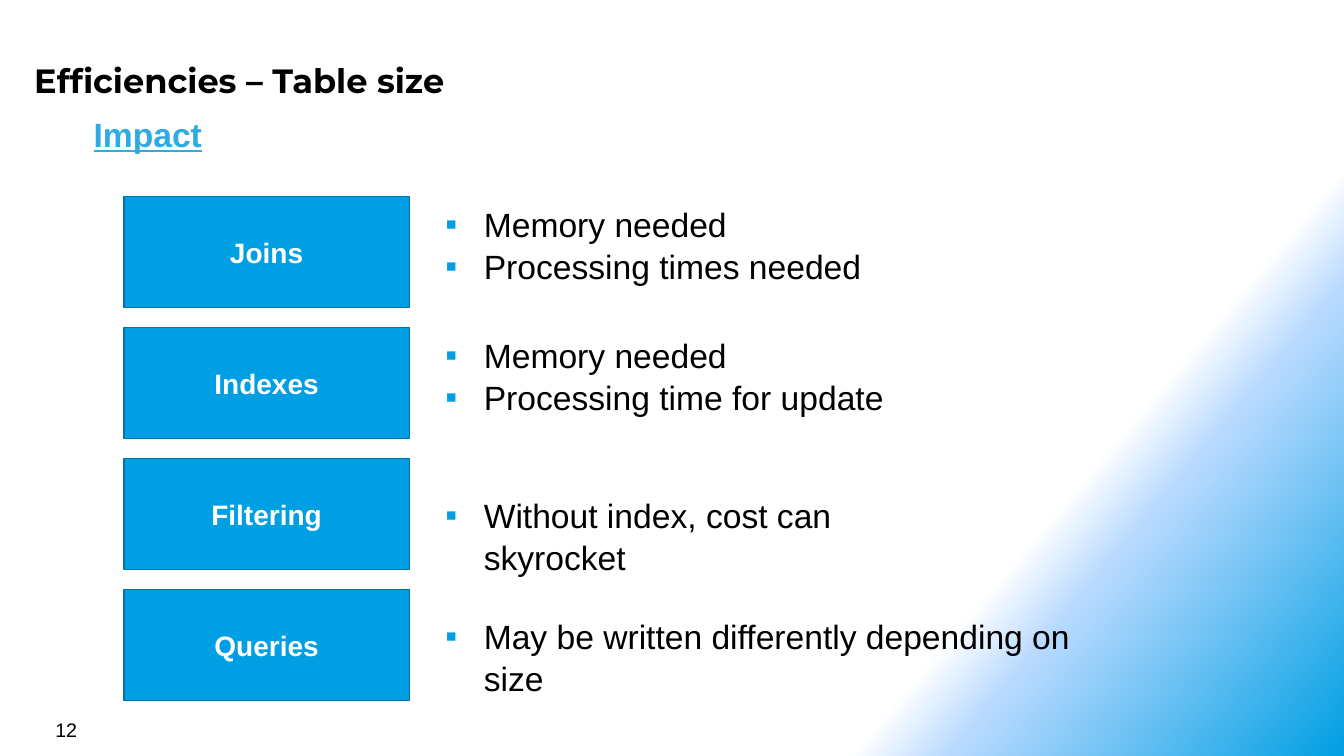
from dataclasses import dataclass

from lxml import etree
from pptx import Presentation
from pptx import util as u
from pptx.dml.color import RGBColor
from pptx.enum import shapes, text
from pptx.oxml import ns


@dataclass(frozen=True)
class Theme:
    black: str = "000000"
    white: str = "FFFFFF"
    blue: str = "009FE3"
    edge: str = "0076A8"
    heading: str = "2EABE2"
    pale: str = "B9DAFF"
    title_font: str = "Montserrat"
    body_font: str = "Arial"
    large: int = 24
    label: int = 20
    small: int = 14
    spacing: float = 1.05


THEME = Theme()

# Label, bullets, drop of the bullets below the label's top, bullet box width
IMPACTS = [
    ("Joins", ["Memory needed", "Processing times needed"], 0, 5.15),
    ("Indexes", ["Memory needed", "Processing time for update"], 0, 5.09),
    ("Filtering", ["Without index, cost can skyrocket"], 0.29, 5.59),
    ("Queries", ["May be written differently depending on size"], 0.19, 7.24),
]


def inches(*lengths):
    return [u.Inches(length) for length in lengths]


def child(parent, tag, **attributes):
    return etree.SubElement(parent, ns.qn(tag), attributes)


def style(para, size, color, name=THEME.body_font, bold=False, underline=False):
    for span in para.runs:
        font = span.font
        font.name, font.size = name, u.Pt(size)
        font.bold, font.underline = bold, underline
        font.color.rgb = RGBColor.from_string(color)


def add_text(page, area, lines, inset=None):
    """Add a wrapping text box and return its paragraphs."""
    frame = page.shapes.add_textbox(*inches(*area)).text_frame
    frame.word_wrap = True
    if inset is not None:
        frame.margin_left = frame.margin_right = u.Inches(inset)
        frame.margin_top = frame.margin_bottom = u.Inches(inset)
    frame.text = "\n".join(lines)
    return frame.paragraphs


def paint_background(page):
    fill = page.background.fill
    fill.gradient()
    fill.gradient_angle = 320
    stops = page.background._cSld.find(".//" + ns.qn("a:gsLst"))
    for stop in list(stops):
        stops.remove(stop)
    for position, color, alpha in (
        (75, THEME.white, 100), (80, THEME.pale, 50), (100, THEME.blue, 100)
    ):
        stop = child(stops, "a:gs", pos=str(position * 1000))
        tint = child(stop, "a:srgbClr", val=color)
        if alpha < 100:
            child(tint, "a:alpha", val=str(alpha * 1000))


def add_heading(page, left, top, width):
    # Title, with the section heading indented below it
    title = add_text(page, (left, top, width, 0.55),
                     ["Efficiencies – Table size"], inset=0.08)[0]
    style(title, THEME.large, THEME.black, THEME.title_font, bold=True)
    indent = 0.57
    section = add_text(page, (left + indent, top + 0.55, width - indent, 0.5),
                       ["Impact"])[0]
    section.line_spacing = THEME.spacing
    style(section, THEME.large, THEME.heading, bold=True, underline=True)


def add_label(page, area, label):
    box = page.shapes.add_shape(shapes.MSO_SHAPE.RECTANGLE, *inches(*area))
    box.shadow.inherit = False
    box.fill.solid()
    box.fill.fore_color.rgb = RGBColor.from_string(THEME.blue)
    box.line.color.rgb = RGBColor.from_string(THEME.edge)
    box.line.width = u.Pt(1)
    frame = box.text_frame
    frame.vertical_anchor = text.MSO_ANCHOR.MIDDLE
    frame.text = label
    para = frame.paragraphs[0]
    para.alignment = text.PP_ALIGN.CENTER
    style(para, THEME.label, THEME.white, bold=True)


def add_bullets(page, area, lines):
    for para in add_text(page, area, lines):
        para.level = 1
        properties = para._p.get_or_add_pPr()
        properties.set("marL", str(u.Inches(0.88)))
        properties.set("indent", str(u.Inches(-0.38)))
        child(child(properties, "a:buClr"), "a:srgbClr", val=THEME.blue)
        child(properties, "a:buFont", typeface=THEME.body_font)
        child(properties, "a:buChar", char="▪")
        para.line_spacing = THEME.spacing
        style(para, THEME.large, THEME.black)


def add_impacts(page, left, top, pitch):
    # One row per impact: label on the left, bullets on the right
    for row, (label, bullets, drop, width) in enumerate(IMPACTS):
        row_top = top + row * pitch
        add_bullets(page, (left + 2.59, row_top + drop, width, 0.91), bullets)
        add_label(page, (left, row_top, 2.83, 1.1), label)


def add_page_number(page, left, top):
    number = add_text(page, (left, top, 3.11, 0.33), ["12"])[0]
    style(number, THEME.small, THEME.black)


def main():
    deck = Presentation()
    deck.slide_width, deck.slide_height = inches(13.33, 7.5)
    page = deck.slides.add_slide(deck.slide_layouts[6])
    paint_background(page)
    add_heading(page, left=0.26, top=0.51, width=12.26)
    add_impacts(page, left=1.23, top=1.95, pitch=1.3)
    add_page_number(page, left=0.45, top=7.07)
    deck.save("out.pptx")


if __name__ == "__main__":
    main()
